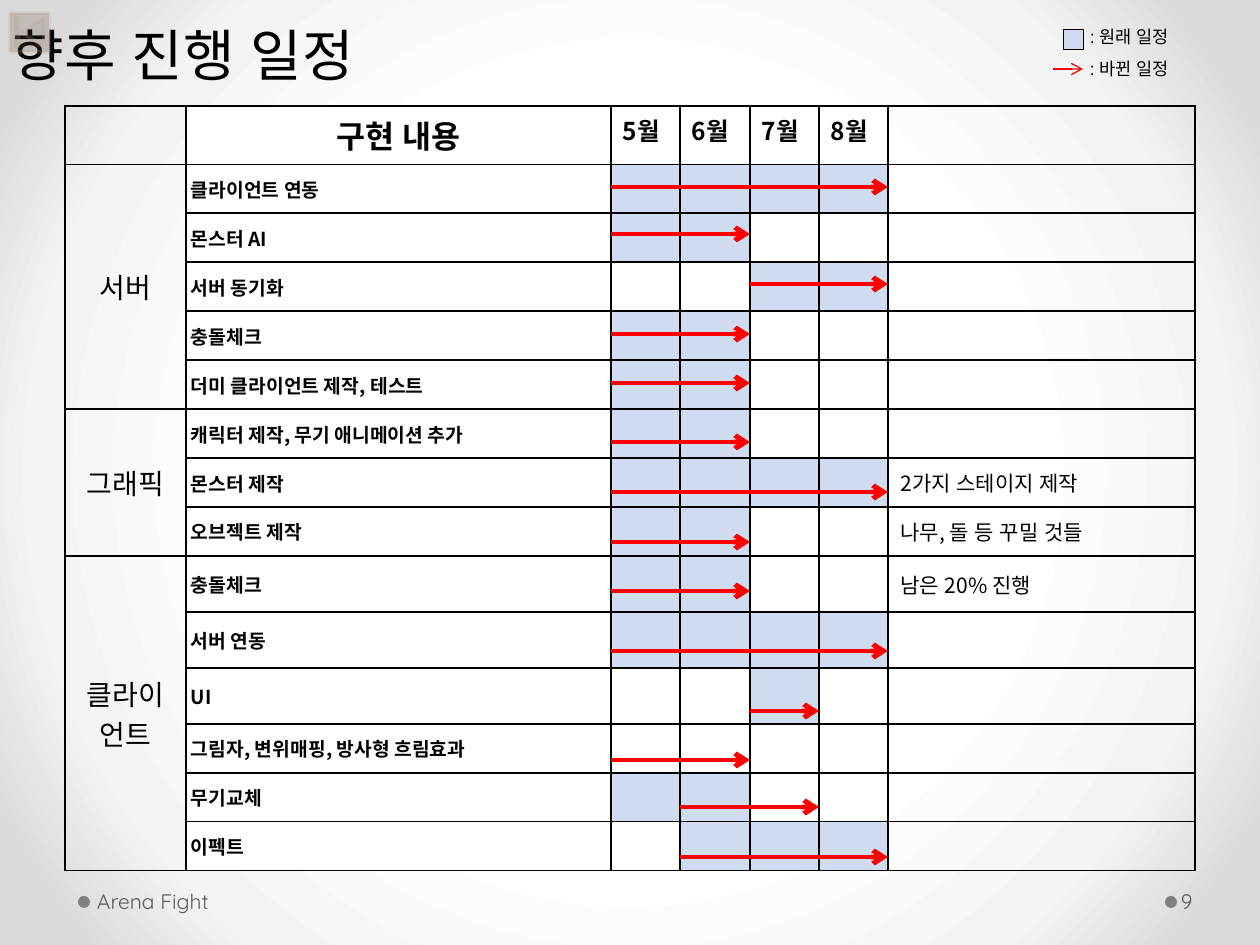
import pptx
import pptx.util
import pptx.oxml
import pptx.oxml.ns
import pptx.dml.color
import pptx.enum.shapes
import pptx.enum.text
from lxml import etree

RGB = pptx.dml.color.RGBColor
SHAPE = pptx.enum.shapes.MSO_SHAPE
ALIGN = pptx.enum.text.PP_ALIGN
ANCHOR = pptx.enum.text.MSO_ANCHOR
Pt = pptx.util.Pt
qn = pptx.oxml.ns.qn

BLACK = RGB(0, 0, 0)
WHITE = RGB(0xFF, 0xFF, 0xFF)
PLAN = RGB(0xCF, 0xDC, 0xF0)
RED = RGB(0xFF, 0, 0)
GREY = RGB(0x59, 0x59, 0x59)
DOT = RGB(0x80, 0x80, 0x80)
BROWN = RGB(0x63, 0x4D, 0x36)
TAN = RGB(0xBE, 0xA3, 0x88)
BACKGROUND = [(50, WHITE), (76, RGB(0xF4, 0xF4, 0xF4)), (92, RGB(0xDA, 0xDA, 0xDA))]
HANGUL = "Noto Sans CJK KR"

TITLE = "향후 진행 일정"
HEADER = ["", "구현 내용", "5월", "6월", "7월", "8월", ""]
# Task, planned months (first, last), revised months, arrow y, note
SECTIONS = [
    ("서버", [
        ("클라이언트 연동", (5, 8), (5, 8), 187, ""),
        ("몬스터 AI", (5, 6), (5, 6), 234, ""),
        ("서버 동기화", (7, 8), (7, 8), 284, ""),
        ("충돌체크", (5, 6), (5, 6), 334, ""),
        ("더미 클라이언트 제작, 테스트", (5, 6), (5, 6), 383, ""),
    ]),
    ("그래픽", [
        ("캐릭터 제작, 무기 애니메이션 추가", (5, 6), (5, 6), 442, ""),
        ("몬스터 제작", (5, 8), (5, 8), 492, "2가지 스테이지 제작"),
        ("오브젝트 제작", (5, 6), (5, 6), 542, "나무, 돌 등 꾸밀 것들"),
    ]),
    ("클라이언트", [
        ("충돌체크", (5, 6), (5, 6), 591, "남은 20% 진행"),
        ("서버 연동", (5, 8), (5, 8), 651, ""),
        ("UI", (7, 7), (7, 7), 711, ""),
        ("그림자, 변위매핑, 방사형 흐림효과", None, (5, 6), 760, ""),
        ("무기교체", (5, 6), (6, 7), 807, ""),
        ("이펙트", (6, 8), (6, 8), 857, ""),
    ]),
]
FIRST_MONTH, MONTHS, MONTH_COL = 5, 4, 2
TABLE_LEFT, TABLE_TOP = 65, 106
COLS = [121, 425, 69, 70, 69, 69, 307]
ROWS = [58] + [49] * 8 + [56] * 3 + [49] * 3


def px(n):
    return pptx.util.Emu(round(n * 914400 / 126))


def box(*lengths):
    return [px(n) for n in lengths]


def style(p, size, font, color=BLACK, bold=False, hangul=None):
    for r in p.runs:
        r.font.size, r.font.name, r.font.bold = Pt(size), font, bold
        r.font.color.rgb = color
        latin = r.font._element.find(qn("a:latin"))
        latin.addnext(etree.Element(qn("a:ea"), typeface=hangul or font))


def set_margins(owner, left, top, right, bottom):
    owner.margin_left, owner.margin_top = px(left), px(top)
    owner.margin_right, owner.margin_bottom = px(right), px(bottom)


def set_cell(cell, text, size=11, font=HANGUL, bold=False, center=False,
             margins=None, anchor=ANCHOR.MIDDLE, hangul=HANGUL):
    cell.text = text
    cell.vertical_anchor = anchor
    if margins:
        set_margins(cell, *margins)
    p = cell.text_frame.paragraphs[0]
    if center:
        p.alignment = ALIGN.CENTER
    style(p, size, font, bold=bold, hangul=hangul)


def finish_cell(cell, fill):
    """Fill the cell, draw its borders and keep empty text from growing the row."""
    if not cell.text:
        set_margins(cell, 0, 0, 0, 0)
    if fill is None:
        cell.fill.background()
    else:
        cell.fill.solid()
        cell.fill.fore_color.rgb = fill
    tc_pr = cell._tc.get_or_add_tcPr()
    for i, side in enumerate(("lnL", "lnR", "lnT", "lnB")):
        ln = etree.Element(qn("a:" + side), w=str(Pt(1)))
        solid = etree.SubElement(ln, qn("a:solidFill"))
        etree.SubElement(solid, qn("a:srgbClr"), val=str(BLACK))
        tc_pr.insert(i, ln)


def add_arrow(s, x1, x2, y, width):
    c = s.shapes.add_connector(pptx.enum.shapes.MSO_CONNECTOR.STRAIGHT, *box(x1, y, x2, y))
    c.line.color.rgb, c.line.width = RED, Pt(width)
    etree.SubElement(c.line._get_or_add_ln(), qn("a:tailEnd"), type="arrow")
    etree.SubElement(c._element.spPr, qn("a:effectLst"))
    return c


def add_shape(s, kind, place, fill, line=None, width=0):
    sp = s.shapes.add_shape(kind, *box(*place))
    sp.shadow.inherit = False
    sp.fill.solid()
    sp.fill.fore_color.rgb = fill
    if line is None:
        sp.line.fill.background()
    else:
        sp.line.color.rgb, sp.line.width = line, Pt(width)
    return sp


def add_text(s, place, text, size, font, color, margins, anchor):
    sp = s.shapes.add_textbox(*box(*place))
    tf = sp.text_frame
    tf.word_wrap, tf.vertical_anchor = True, anchor
    set_margins(tf, *margins)
    tf.text = text
    for p in tf.paragraphs:
        style(p, size, font, color)
    return sp


def set_background(s):
    stops = "".join(f'<a:gs pos="{pos * 1000}"><a:srgbClr val="{color}"/></a:gs>'
                    for pos, color in BACKGROUND)
    s._element.cSld.insert(0, pptx.oxml.parse_xml(
        f'<p:bg {pptx.oxml.ns.nsdecls("p", "a")}><p:bgPr><a:gradFill><a:gsLst>{stops}</a:gsLst>'
        '<a:path path="circle"><a:fillToRect l="50000" t="50000" r="50000" b="50000"/></a:path>'
        '</a:gradFill><a:effectLst/></p:bgPr></p:bg>'))


def add_schedule(s):
    frame = s.shapes.add_table(len(ROWS), len(COLS),
                               *box(TABLE_LEFT, TABLE_TOP, sum(COLS), sum(ROWS)))
    table = frame.table
    table.first_row = table.horz_banding = False
    for col, width in zip(table.columns, COLS):
        col.width = px(width)
    for row, height in zip(table.rows, ROWS):
        row.height = px(height)

    set_cell(table.cell(0, 1), HEADER[1], 18, "Cambria", True, True)
    for c in range(MONTH_COL, MONTH_COL + MONTHS):
        set_cell(table.cell(0, c), HEADER[c], 14, bold=True, margins=(12, 6, 2, 6),
                 anchor=ANCHOR.TOP)

    planned = set()
    r = 1
    for section, tasks in SECTIONS:
        table.cell(r, 0).merge(table.cell(r + len(tasks) - 1, 0))
        set_cell(table.cell(r, 0), section, 16, "Cambria", center=True)
        for task, plan, _, _, note in tasks:
            set_cell(table.cell(r, 1), task, bold=True, margins=(5, 2, 13, 2))
            if note:
                set_cell(table.cell(r, 6), note, 12, hangul="Arial")
            if plan:
                planned |= {(r, m - FIRST_MONTH + MONTH_COL)
                            for m in range(plan[0], plan[1] + 1)}
            r += 1

    for r in range(len(ROWS)):
        for c in range(len(COLS)):
            inner = WHITE if 0 < c < len(COLS) - 1 else None
            finish_cell(table.cell(r, c), PLAN if (r, c) in planned else inner)


def add_revised_arrows(s):
    def month_start(month):
        return TABLE_LEFT + sum(COLS[:MONTH_COL + month - FIRST_MONTH])

    for _, tasks in SECTIONS:
        for _, _, (first, last), y, _ in tasks:
            add_arrow(s, month_start(first), month_start(last + 1), y, 2.75)


def add_legend(s):
    label = add_text(s, (1063, 20, 168, 66), ": 원래 일정\n: 바뀐 일정", 10, "Arial", BLACK,
                     (27, 6, 13, 6), ANCHOR.TOP)
    label.text_frame.paragraphs[1].line_spacing = 1.5
    swatch = add_shape(s, SHAPE.RECTANGLE, (1063, 29, 20, 20), PLAN, BLACK, 0.25)
    s.shapes.add_group_shape([label, swatch, add_arrow(s, 1053, 1083, 69, 0.75)])


def add_back_button(s):
    sp = add_shape(s, SHAPE.ACTION_BUTTON_BEGINNING, (10, 13, 39, 39), BROWN, TAN, 2.25)
    for color in sp._element.spPr.iter(qn("a:srgbClr")):
        etree.SubElement(color, qn("a:alpha"), val="20000")


def main():
    prs = pptx.Presentation()
    prs.slide_width, prs.slide_height = box(1260, 945)
    s = prs.slides.add_slide(prs.slide_layouts[5])
    set_background(s)
    for x in (78, 1165):
        add_shape(s, SHAPE.OVAL, (x, 896, 12, 12), DOT)
    add_schedule(s)

    title = s.shapes.title
    title.left, title.top, title.width, title.height = box(0, -20, 1134, 159)
    tf = title.text_frame
    tf.text = TITLE
    tf.vertical_anchor = ANCHOR.MIDDLE
    set_margins(tf, 13, 6, 13, 17)
    tf.paragraphs[0].alignment = ALIGN.LEFT
    style(tf.paragraphs[0], 32, "Arial")

    add_revised_arrows(s)
    add_legend(s)
    for place, text in (((1176, 876, 77, 50), "9"), ((92, 876, 392, 50), "Arena Fight")):
        add_text(s, place, text, 12, "Quicksand", GREY, (5, 6, 6, 6), ANCHOR.MIDDLE)
    add_back_button(s)
    prs.save("out.pptx")


if __name__ == "__main__":
    main()
